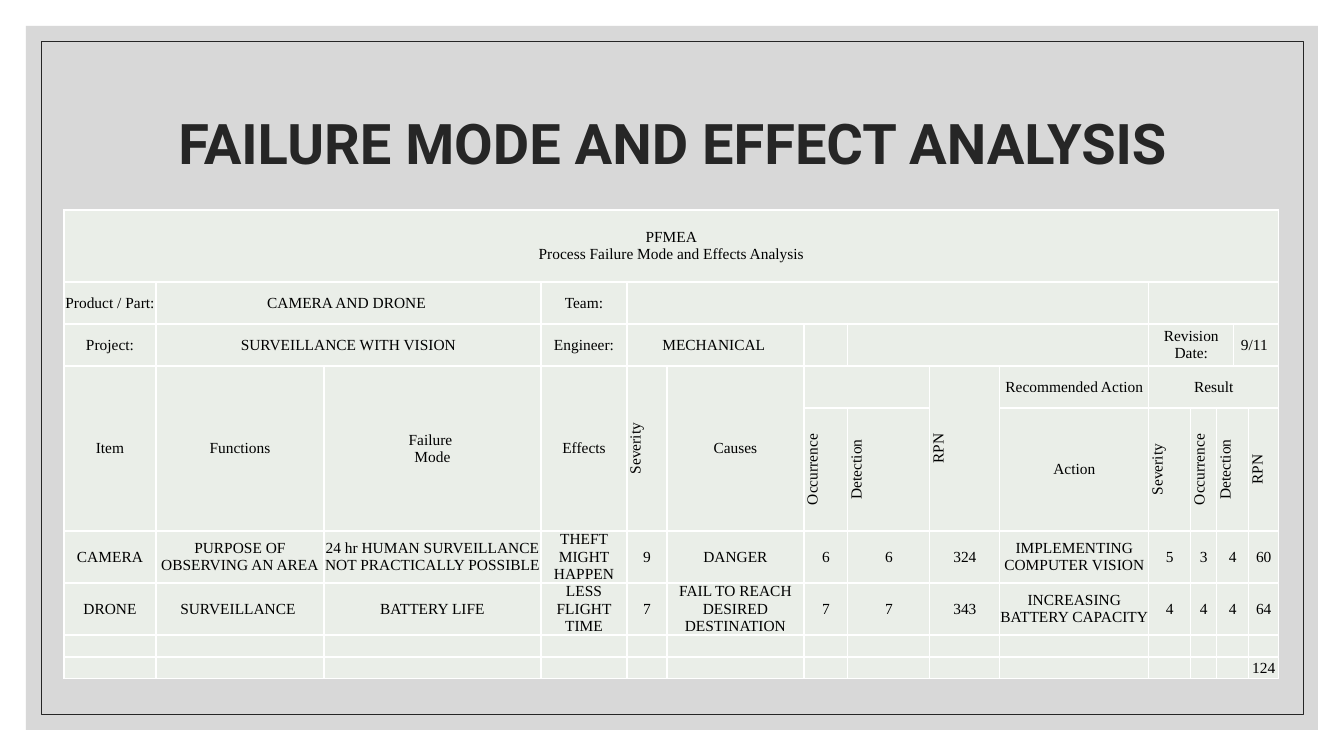
from lxml import etree
from pptx import Presentation
from pptx.dml.color import RGBColor
from pptx.enum.shapes import MSO_SHAPE
from pptx.enum.text import MSO_ANCHOR, MSO_AUTO_SIZE, PP_ALIGN
from pptx.oxml import parse_xml
from pptx.oxml.ns import nsdecls, qn
from pptx.util import Emu, Pt

RECTANGLE = MSO_SHAPE.RECTANGLE
MIDDLE = MSO_ANCHOR.MIDDLE
CENTER = PP_ALIGN.CENTER
NO_AUTOFIT = MSO_AUTO_SIZE.NONE

PIXELS_PER_INCH = 100.8
GRAY = RGBColor(0xBF, 0xBF, 0xBF)
DARK = RGBColor(0x26, 0x26, 0x26)
BLACK = RGBColor(0x00, 0x00, 0x00)
PALE_GREEN = RGBColor(0xEA, 0xEE, 0xE8)
WHITE = RGBColor(0xFF, 0xFF, 0xFF)

COLUMN_WIDTHS = [92, 168, 217, 86, 40, 137, 44, 82, 70, 149, 42, 26, 17, 15, 30]
ROW_HEIGHTS = [72, 42, 42, 42, 123, 52, 52, 22, 22]
CELL_POINTS = 11
VERTICAL_LABELS = {"Severity", "Occurrence", "Detection", "RPN"}

HEADINGS = {
    (0, 0): "PFMEA\vProcess Failure Mode and Effects Analysis",
    (1, 0): "Product / Part:",
    (1, 1): "CAMERA AND DRONE ",
    (1, 3): "Team:",
    (2, 0): "Project:",
    (2, 1): "SURVEILLANCE WITH VISION",
    (2, 3): "Engineer:",
    (2, 4): "MECHANICAL ",
    (2, 10): "Revision Date:",
    (2, 13): "9/11 ",
    (3, 0): "Item",
    (3, 1): "Functions",
    (3, 2): "Failure \vMode",
    (3, 3): "Effects",
    (3, 4): "Severity",
    (3, 5): "Causes",
    (3, 8): "RPN",
    (3, 9): "Recommended Action",
    (3, 10): "Result",
    (4, 6): "Occurrence",
    (4, 7): "Detection",
    (4, 9): "Action",
    (4, 10): "Severity",
    (4, 11): "Occurrence",
    (4, 12): "Detection",
    (4, 14): "RPN",
    (8, 14): "124",
}
FAILURES = {
    5: ["CAMERA", "PURPOSE OF OBSERVING AN AREA",
        "24 hr HUMAN SURVEILLANCE NOT PRACTICALLY POSSIBLE", "THEFT MIGHT HAPPEN",
        "9", "DANGER", "6", "6", "324", "IMPLEMENTING COMPUTER VISION",
        "5", "3", "4", "", "60"],
    6: ["DRONE", "SURVEILLANCE ", "BATTERY LIFE", "LESS FLIGHT TIME",
        "7", "FAIL TO REACH DESIRED DESTINATION", "7", "7", "343",
        "INCREASING BATTERY CAPACITY", "4", "4", "4", "", "64"],
}
ROW_MERGES = {
    0: [(0, 14)],
    1: [(1, 2), (4, 9), (10, 14)],
    2: [(1, 2), (4, 5), (7, 9), (10, 12), (13, 14)],
    3: [(6, 7), (10, 14)],
    **{row: [(12, 13)] for row in range(4, 9)},
}
TALL_HEADING_COLUMNS = [0, 1, 2, 3, 4, 5, 8]


def px(length):
    return Emu(round(length * 914400 / PIXELS_PER_INCH))


def add_rectangle(slide, left, top, width, height):
    shape = slide.shapes.add_shape(
        RECTANGLE, px(left), px(top), px(width), px(height))
    shape.shadow.inherit = False
    return shape


def add_backdrop(slide):
    panel = add_rectangle(slide, 26, 26, 1292, 704)
    panel.fill.solid()
    panel.fill.fore_color.rgb = GRAY
    color = panel.fill._xPr.find(qn("a:solidFill"))[0]
    etree.SubElement(color, qn("a:alpha")).set("val", "60000")
    panel.line.fill.background()

    frame = add_rectangle(slide, 41, 41, 1262, 673)
    frame.fill.background()
    frame.line.color.rgb = DARK
    frame.line.width = Pt(0.5)


def set_title(slide, text):
    title = slide.shapes.title
    title.left, title.top, title.width, title.height = map(px, (118, 71, 1109, 151))
    slide.shapes._spTree.append(title._element)
    text_frame = title.text_frame
    text_frame.text = text
    text_frame.auto_size = NO_AUTOFIT
    text_frame.vertical_anchor = MIDDLE
    paragraph = text_frame.paragraphs[0]
    paragraph.alignment = CENTER
    paragraph.line_spacing = 0.9
    set_font(paragraph, "Roboto", 40, DARK, True)


def set_font(paragraph, name, points, color, bold=False):
    font = paragraph.font
    font.name = name
    font.size = Pt(points)
    font.color.rgb = color
    font.bold = bold


def format_cell(cell, text):
    properties = cell._tc.get_or_add_tcPr()
    for side in "LRTB":
        properties.append(parse_xml(
            f'<a:ln{side} {nsdecls("a")} w="12700"><a:solidFill>'
            f'<a:srgbClr val="{WHITE}"/></a:solidFill></a:ln{side}>'))
    cell.fill.solid()
    cell.fill.fore_color.rgb = PALE_GREEN
    cell.margin_left = cell.margin_right = cell.margin_top = cell.margin_bottom = 0
    cell.vertical_anchor = MIDDLE
    if text in VERTICAL_LABELS:
        properties.set("vert", "vert270")
    paragraph = cell.text_frame.paragraphs[0]
    paragraph.text = text
    paragraph.alignment = CENTER
    set_font(paragraph, "Times New Roman", CELL_POINTS, BLACK)
    if not text:
        end = etree.SubElement(paragraph._p, qn("a:endParaRPr"))
        end.set("sz", str(CELL_POINTS * 100))


def cell_text(row, column):
    if row in FAILURES:
        return FAILURES[row][column]
    return HEADINGS.get((row, column), "")


def add_analysis_table(slide):
    table = slide.shapes.add_table(
        len(ROW_HEIGHTS), len(COLUMN_WIDTHS), px(64), px(210),
        px(sum(COLUMN_WIDTHS)), px(sum(ROW_HEIGHTS))).table
    table.first_row = False
    table.horz_banding = False
    for column, width in zip(table.columns, COLUMN_WIDTHS):
        column.width = px(width)
    for row, height in zip(table.rows, ROW_HEIGHTS):
        row.height = px(height)
    for row in range(len(ROW_HEIGHTS)):
        for column in range(len(COLUMN_WIDTHS)):
            format_cell(table.cell(row, column), cell_text(row, column))
    for row, merges in ROW_MERGES.items():
        for first, last in merges:
            table.cell(row, first).merge(table.cell(row, last))
    for column in TALL_HEADING_COLUMNS:
        table.cell(3, column).merge(table.cell(4, column))


def main():
    presentation = Presentation()
    presentation.slide_width = px(1344)
    presentation.slide_height = px(756)
    slide = presentation.slides.add_slide(presentation.slide_layouts[5])
    add_backdrop(slide)
    set_title(slide, "FAILURE MODE AND EFFECT ANALYSIS")
    add_analysis_table(slide)
    presentation.save("out.pptx")


if __name__ == "__main__":
    main()
